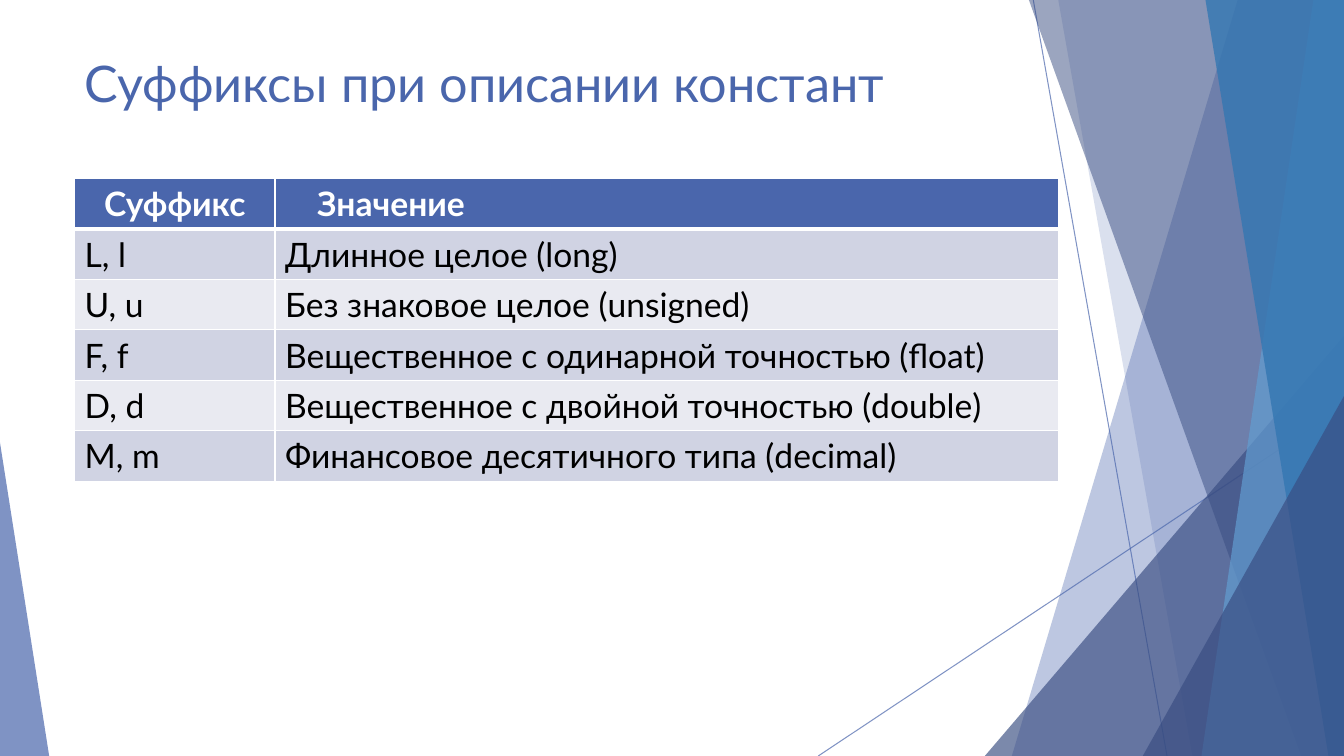
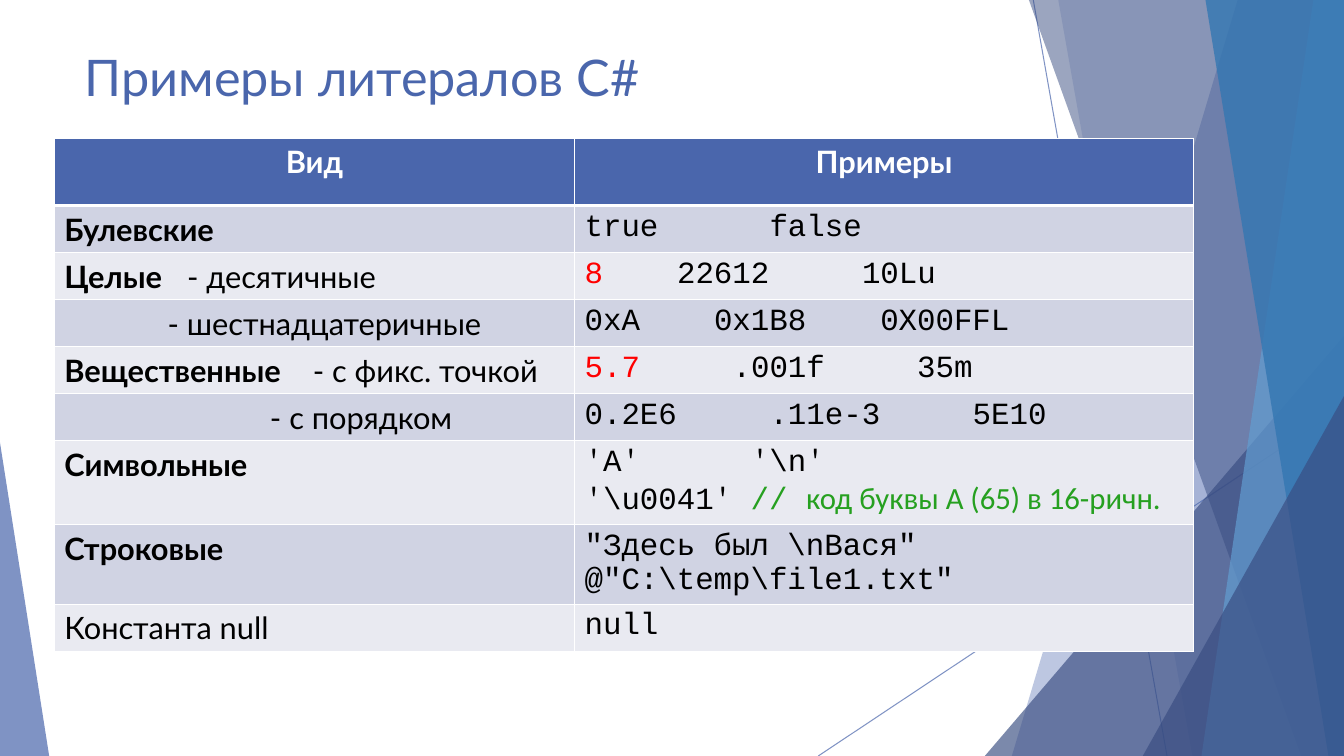
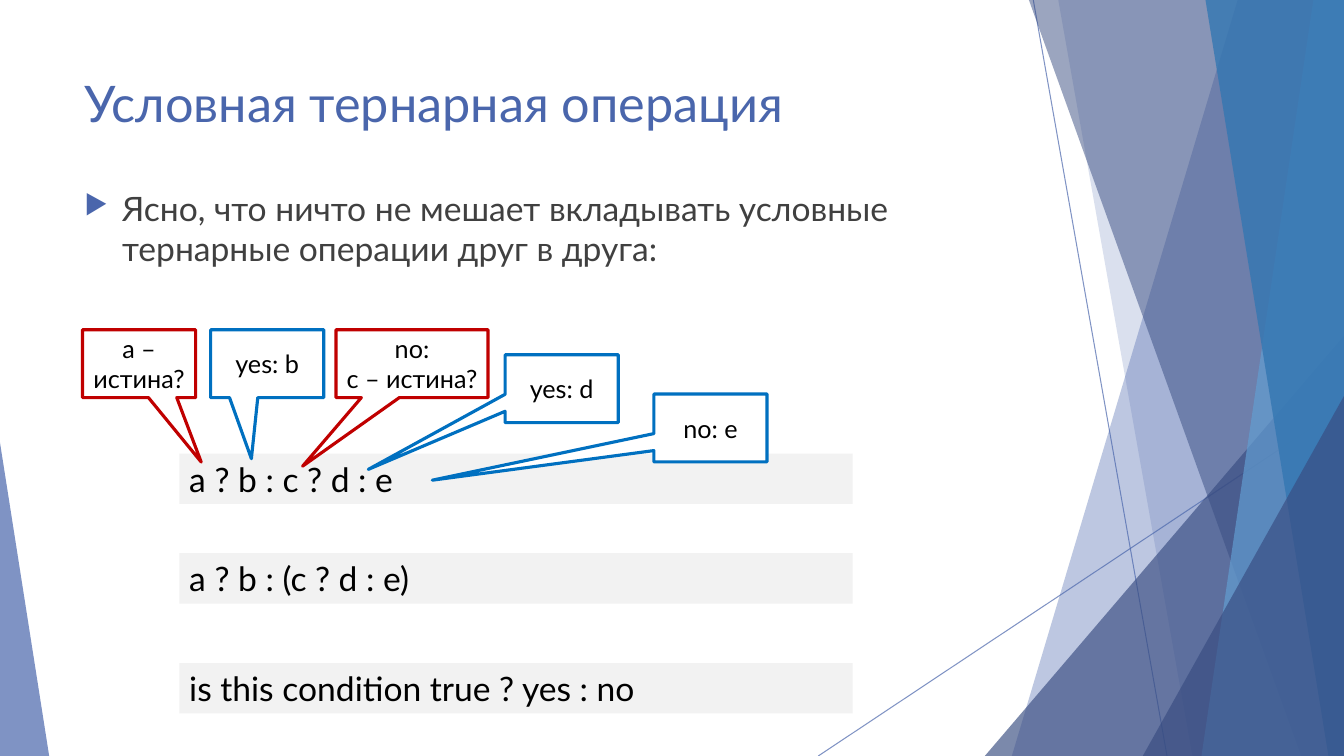
"""Build three slides on C# literals and the conditional operator."""
from dataclasses import dataclass

from lxml import etree
from pptx import Presentation
from pptx.dml.color import RGBColor
from pptx.enum.shapes import MSO_CONNECTOR, MSO_SHAPE
from pptx.enum.text import MSO_ANCHOR, MSO_AUTO_SIZE, PP_ALIGN
from pptx.oxml.ns import qn
from pptx.util import Cm, Pt

LEFT, CENTER = PP_ALIGN.LEFT, PP_ALIGN.CENTER
TOP = MSO_ANCHOR.TOP
NO_AUTOFIT = MSO_AUTO_SIZE.NONE
STRAIGHT = MSO_CONNECTOR.STRAIGHT
RECTANGLE = MSO_SHAPE.RECTANGLE
TRIANGLE = MSO_SHAPE.ISOSCELES_TRIANGLE
CALLOUT = MSO_SHAPE.RECTANGULAR_CALLOUT


class Theme:
    accent = RGBColor.from_string("4A66AC")
    dark = RGBColor.from_string("384C81")
    light_blue = RGBColor.from_string("629DD1")
    deep_blue = RGBColor.from_string("3477B2")
    white = RGBColor.from_string("FFFFFF")
    black = RGBColor.from_string("000000")
    body = RGBColor.from_string("404040")
    red = RGBColor.from_string("FF0000")
    green = RGBColor.from_string("26A020")
    question = RGBColor.from_string("C00000")
    answer = RGBColor.from_string("0070C0")
    code_back = RGBColor.from_string("F2F2F2")
    row_fills = (RGBColor.from_string("E9EAF1"), RGBColor.from_string("D0D3E3"))
    title_size, body_size, literal_size, callout_size = 36, 24, 22, 18
    styles = {
        "title": ("Lato", False, accent),
        "header": ("Lato", True, white),
        "label": ("Lato", True, black),
        "text": ("Lato", False, black),
        "body": ("Lato", False, body),
        "code": ("Courier New", False, black),
        "number": ("Courier New", False, red),
        "comment": ("Courier New", False, green),
        "note": ("Calibri", False, green),
    }


@dataclass
class Cell:
    runs: list
    indent: float = 0
    stops: tuple = ()


def write(paragraph, runs, size, alignment=LEFT):
    paragraph.alignment = alignment
    paragraph.font.size = Pt(size)
    agree = len({style for _, style in runs}) == 1
    targets = [(paragraph.font, runs[0][1])] if agree else []
    for text, style in runs:
        for index, line in enumerate(text.split("\n")):
            if index:
                paragraph.add_line_break()
            if line:
                run = paragraph.add_run()
                run.text = line
                if not agree:
                    targets.append((run.font, style))
    for font, style in targets:
        font.name, font.bold, font.color.rgb = Theme.styles[style]


def paint(shape, fill, opacity=100, outline=None):
    shape.fill.solid()
    shape.fill.fore_color.rgb = fill
    if opacity < 100:
        for color in shape.element.spPr.iter(qn("a:srgbClr")):
            etree.SubElement(color, qn("a:alpha"), val=str(opacity * 1000))
    if outline is None:
        shape.line.fill.background()
    else:
        shape.line.color.rgb = outline
        shape.line.width = Pt(2.25)
    shape.shadow.inherit = False


presentation = Presentation()
presentation.slide_width, presentation.slide_height = Cm(33.87), Cm(19.05)
right, bottom = presentation.slide_width, presentation.slide_height
layout = presentation.slide_layouts[5]
for placeholder in list(layout.placeholders):
    if placeholder.placeholder_format.idx:
        placeholder.element.getparent().remove(placeholder.element)

titles = [
    ("Суффиксы при описании констант", 1.19, 2.01),
    ("Примеры литералов C#", 1.04, 1.83),
    ("Условная тернарная операция", 1.7, 3.66),
]
slides = []
for text, top, height in titles:
    slide = presentation.slides.add_slide(layout)
    title = slide.shapes.title
    title.left, title.top, title.width, title.height = Cm(1.88), Cm(top), Cm(23.88), Cm(height)
    title.text_frame.auto_size = NO_AUTOFIT
    title.text_frame.vertical_anchor = TOP
    write(title.text_frame.paragraphs[0], [(text, "title")], Theme.title_size)
    slides.append(slide)
suffix_slide, literal_slide, ternary_slide = slides

decorations = []
shapes = suffix_slide.shapes
for ends in [(26.04, 0, 29.41, 19.05), (33.87, 10.24, 20.62, 19.05)]:
    line = shapes.add_connector(STRAIGHT, *map(Cm, ends))
    line.line.color.rgb = Theme.accent
    line.line.width = Pt(0.75)
    for color in line.element.spPr.iter(qn("a:srgbClr")):
        etree.SubElement(color, qn("a:alpha"), val="70000")
    etree.SubElement(line.element.spPr, qn("a:effectLst"))
    decorations.append(line)

facets = [
    ("band", 31.19, 25.5, Theme.accent, 36),
    ("band", 26.67, 30.05, Theme.accent, 20),
    ("triangle", 24.82, 8.46, Theme.dark, 66),
    ("band", 25.93, 32.79, Theme.dark, 50),
    ("band", 33.1, 30.28, Theme.light_blue, 70),
    ("band", 30.38, 33.48, Theme.deep_blue, 80),
    ("triangle", 28.8, 9.98, Theme.dark, 66),
    ("left triangle", 0, 11.15, Theme.accent, 70),
]
for kind, first, second, color, opacity in facets:
    if kind == "band":
        builder = shapes.build_freeform(Cm(first), 0)
        builder.add_line_segments([(right, 0), (right, bottom), (Cm(second), bottom)])
        facet = builder.convert_to_shape()
    else:
        at_left = kind == "left triangle"
        width = Cm(1.24) if at_left else right - Cm(first)
        facet = shapes.add_shape(TRIANGLE, Cm(first), Cm(second), width, bottom - Cm(second))
        facet.adjustments[0] = 0 if at_left else 1
    paint(facet, color, opacity)
    decorations.append(facet)
for decoration in decorations:
    layout.shapes.element.append(decoration.element)

suffixes = [
    ("L, l", "Длинное целое (long)"),
    ("U, u", "Без знаковое целое (unsigned)"),
    ("F, f", "Вещественное с одинарной точностью (float)"),
    ("D, d", "Вещественное с двойной точностью (double)"),
    ("M, m", "Финансовое десятичного типа (decimal)"),
]
suffix_rows = [[Cell([("Суффикс", "header")]), Cell([("Значение", "header")], 0.81)]]
suffix_rows += [[Cell([(text, "text")]) for text in row] for row in suffixes]

literal_rows = [
    [Cell([("Вид", "header")]), Cell([("Примеры", "header")])],
    [Cell([("Булевские", "label")]), Cell([("true\tfalse", "code")], stops=(4.66,))],
    [Cell([("Целые", "label"), ("\t- десятичные", "text")], stops=(3.09,)),
     Cell([("8", "number"), ("\t22612\t10Lu", "code")], stops=(2.33, 6.99))],
    [Cell([("- шестнадцатеричные", "text")], 2.6),
     Cell([("0xA\t0x1B8\t0X00FFL", "code")], stops=(3.26, 7.45))],
    [Cell([("Вещественные", "label"), ("\t- с фикс. точкой", "text")], stops=(6.26,)),
     Cell([("5.7", "number"), ("\t.001f\t35m", "code")], stops=(3.73, 8.38))],
    [Cell([("- с порядком", "text")], 5.18),
     Cell([("0.2E6\t.11e-3\t5E10", "code")], stops=(4.66, 9.78))],
    [Cell([("Символьные", "label")]),
     Cell([("ꞌAꞌ\tꞌ\\nꞌ\nꞌ\\u0041ꞌ ", "code"), ("// ", "comment"),
           ("код буквы А (65) в 16-ричн.", "note")], stops=(4.19,))],
    [Cell([("Строковые", "label")]),
     Cell([("″Здесь был \\nВася″\n@″C:\\temp\\file1.txt″", "code")])],
    [Cell([("Константа null", "text")]), Cell([("null", "code")])],
]

tables = [
    (suffix_slide, 1.88, 4.5, (5.05, 19.74), [1.27] * 6, Theme.body_size, suffix_rows),
    (literal_slide, 1.37, 3.48, (13.11, 15.6), [1.7] + [1.18] * 5 + [2.11, 2, 1.18],
     Theme.literal_size, literal_rows),
]
for slide, left, top, widths, heights, size, rows in tables:
    frame = slide.shapes.add_table(len(rows), len(widths), Cm(left), Cm(top),
                                   Cm(sum(widths)), Cm(sum(heights)))
    table = frame.table
    for column, width in zip(table.columns, widths):
        column.width = Cm(width)
    for row_index, (row, height) in enumerate(zip(rows, heights)):
        table.rows[row_index].height = Cm(height)
        for column_index, content in enumerate(row):
            cell = table.cell(row_index, column_index)
            properties = cell._tc.get_or_add_tcPr()
            for side in ("L", "R", "T", "B"):
                thick = (row_index, side) in [(0, "B"), (1, "T")]
                border = etree.SubElement(properties, qn(f"a:ln{side}"), w=str(Pt(3 if thick else 1)))
                border_fill = etree.SubElement(border, qn("a:solidFill"))
                etree.SubElement(border_fill, qn("a:srgbClr"), val=str(Theme.white))
            cell.fill.solid()
            cell.fill.fore_color.rgb = Theme.row_fills[row_index % 2] if row_index else Theme.accent
            paragraph = cell.text_frame.paragraphs[0]
            paragraph_properties = paragraph._p.get_or_add_pPr()
            if content.indent:
                paragraph_properties.set("marL", str(Cm(content.indent)))
            if content.stops:
                stop_list = etree.SubElement(paragraph_properties, qn("a:tabLst"))
                for stop in content.stops:
                    etree.SubElement(stop_list, qn("a:tab"), pos=str(Cm(stop)), algn="l")
            centered = row_index == 0 and not content.indent
            write(paragraph, content.runs, size, CENTER if centered else LEFT)

shapes = ternary_slide.shapes
statement = shapes.add_textbox(Cm(1.88), Cm(4.6), Cm(23.88), Cm(3.2))
statement.text_frame.word_wrap = True
paragraph = statement.text_frame.paragraphs[0]
paragraph_properties = paragraph._p.get_or_add_pPr()
paragraph_properties.set("marL", str(Cm(0.95)))
paragraph_properties.set("indent", str(Cm(-0.95)))
bullet_color = etree.SubElement(paragraph_properties, qn("a:buClr"))
etree.SubElement(bullet_color, qn("a:srgbClr"), val=str(Theme.accent))
etree.SubElement(paragraph_properties, qn("a:buSzPct"), val="80000")
etree.SubElement(paragraph_properties, qn("a:buChar"), char="▶")
write(paragraph, [("Ясно, что ничто не мешает вкладывать условные "
                   "тернарные операции друг в друга:", "body")], Theme.body_size)

expressions = [
    ("a ? b : c ? d : e", 11.43),
    ("a ? b : (c ? d : e)", 13.94),
    ("is this condition true ? yes : no", 16.71),
]
for text, top in expressions:
    expression = shapes.add_shape(RECTANGLE, Cm(4.52), Cm(top), Cm(16.97), Cm(1.27))
    paint(expression, Theme.code_back)
    write(expression.text_frame.paragraphs[0], [(text, "text")], Theme.body_size)

callouts = [
    ("a – истина?", 2.08, 8.31, 2.85, Theme.question, (0.55, 1.45)),
    ("yes: b", 5.31, 8.31, 2.85, Theme.answer, (-0.14, 1.4)),
    ("no:\nc – истина?", 8.47, 8.31, 3.83, Theme.question, (-0.72, 1.51)),
    ("yes: d", 12.73, 8.94, 2.85, Theme.answer, (-1.71, 1.19)),
    ("no: e", 16.48, 9.93, 2.85, Theme.answer, (-2.46, 0.77)),
]
for text, left, top, width, outline, tip in callouts:
    callout = shapes.add_shape(CALLOUT, Cm(left), Cm(top), Cm(width), Cm(1.71))
    callout.adjustments[0], callout.adjustments[1] = tip
    paint(callout, Theme.white, outline=outline)
    write(callout.text_frame.paragraphs[0], [(text, "text")], Theme.callout_size, CENTER)

presentation.save("out.pptx")
